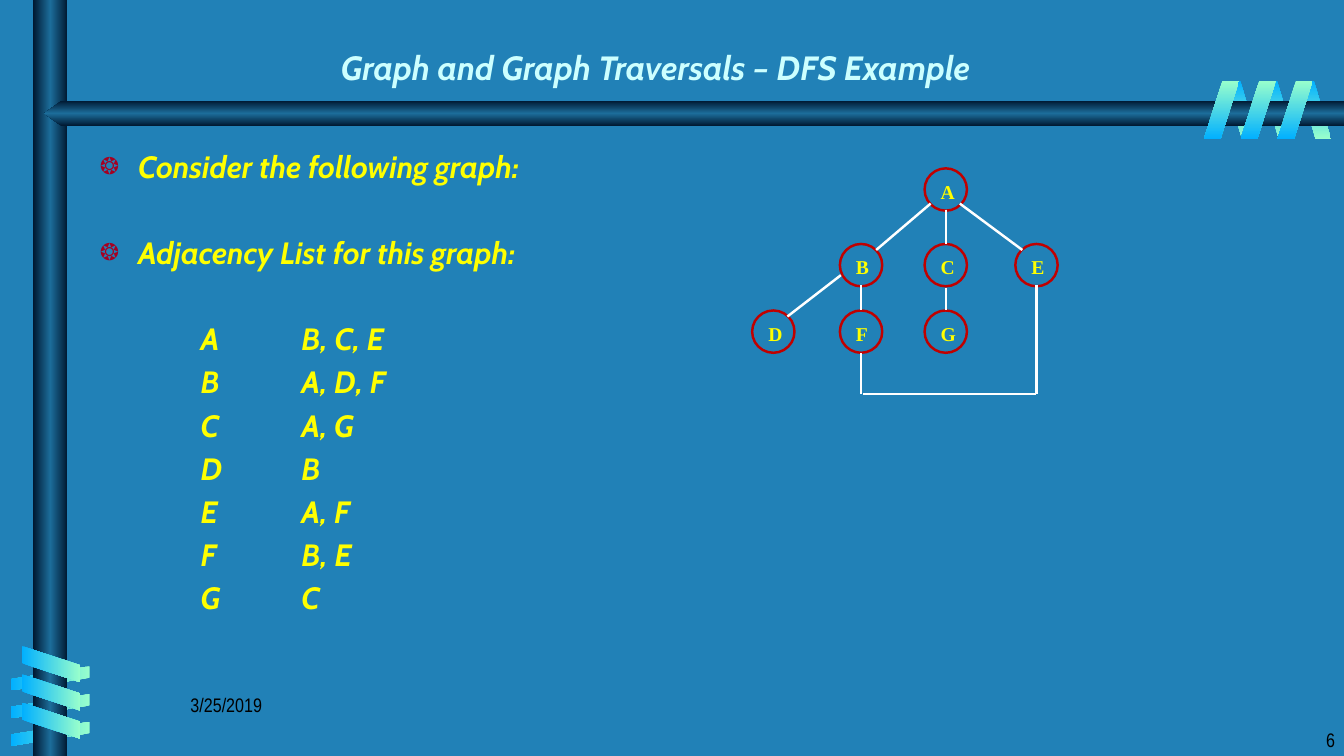
from dataclasses import dataclass

from lxml import etree
from pptx import Presentation
from pptx import util as u
from pptx.dml.color import RGBColor
from pptx.enum import shapes, text
from pptx.oxml import ns

Inches, Pt = u.Inches, u.Pt
Kind = shapes.MSO_SHAPE


@dataclass(frozen=True)
class Theme:
    back: str = "2181B7"
    title: str = "CCFFFF"
    body: str = "FFFF00"
    bullet: str = "A50021"
    ring: str = "C00000"
    edge: str = "FFFFFF"
    note: str = "000000"
    bar: tuple = ("001932", "1C6D9A", "001932")
    mint: tuple = ("99FFCC", "01B0FF")
    blue: tuple = ("01B0FF", "99FFCC")
    head: int = 24
    list: int = 22
    small: int = 14
    main: str = "Cabin"
    serif: str = "Times New Roman"
    narrow: str = "Arial Narrow"


T = Theme()


def style(para, name, size, color, bold=False, slant=False):
    font = para.font
    font.name, font.size, font.bold, font.italic = name, Pt(size), bold, slant
    font.color.rgb = RGBColor.from_string(color)


def deco(kind, box, stops, angle, turn=0, flip=False, adj=None):
    """Add a borderless shape with an evenly spaced gradient."""
    shape = slide.shapes.add_shape(kind, *map(Inches, box))
    shape.shadow.inherit = False
    shape.line.fill.background()
    shape.rotation = turn
    if adj:
        shape.adjustments[0] = adj
    props = shape.element.spPr
    if flip:
        props.xfrm.set("flipH", "1")
    grad = etree.Element(ns.qn("a:gradFill"), rotWithShape="0")
    marks = etree.SubElement(grad, ns.qn("a:gsLst"))
    for i, color in enumerate(stops):
        mark = etree.SubElement(marks, ns.qn("a:gs"), pos=str(i * 100000 // (len(stops) - 1)))
        etree.SubElement(mark, ns.qn("a:srgbClr"), val=color)
    etree.SubElement(grad, ns.qn("a:lin"), ang=str(angle * 60000), scaled="0")
    props.find(ns.qn("a:prstGeom")).addnext(grad)


deck = Presentation()
deck.slide_width, deck.slide_height = Inches(13.33), Inches(7.5)
slide = deck.slides.add_slide(deck.slide_layouts[1])
slide.background.fill.solid()
slide.background.fill.fore_color.rgb = RGBColor.from_string(T.back)

# Ribbons wound around the two bars: back strips, bars, front strips
skew = Kind.PARALLELOGRAM
for i in range(3):
    deco(skew, (12.88 - 0.365 * i, 0.8, 0.32, 0.58), T.blue, 90, 180, True, 0.53)
    deco(skew, (0.38, 6.34 + 0.275 * i, 0.24, 0.78), T.mint, 0, 90, True, 0.53)
deco(Kind.RECTANGLE, (0.33, 0, 0.34, 7.5), T.bar, 0)
deco(Kind.PENTAGON, (0.44, 1, 12.89, 0.25), T.bar, 90, flip=True, adj=0.68)
for i in range(3):
    deco(skew, (0.33, 6.3 + 0.28 * i, 0.36, 0.58), T.blue, 0, 270, adj=0.53)
    deco(skew, (12.67 - 0.365 * i, 0.8, 0.35, 0.58), T.mint, 90, adj=0.53)

# Title
title = slide.shapes.title
title.left, title.top, title.width, title.height = map(Inches, (0.89, 0.17, 12.22, 0.75))
frame = title.text_frame
frame.text = "Graph and Graph Traversals – DFS Example"
frame.auto_size = text.MSO_AUTO_SIZE.NONE
frame.vertical_anchor = text.MSO_ANCHOR.BOTTOM
frame.margin_left = Inches(2.49)
frame.paragraphs[0].alignment = text.PP_ALIGN.LEFT
style(frame.paragraphs[0], T.main, T.head, T.title, True, True)

# Bullets and adjacency list
heads = ["Consider the following graph:", "Adjacency List for this graph:"]
links = {"A": "B, C, E", "B": "A, D, F", "C": "A, G", "D": "B",
         "E": "A, F", "F": "B, E", "G": "C"}
body = slide.placeholders[1]
body.left, body.top, body.width, body.height = map(Inches, (0.89, 1.42, 12.11, 5.36))
frame = body.text_frame
frame.text = "\n".join(heads + [f"\t{node}\t{near}" for node, near in links.items()])
frame.auto_size = text.MSO_AUTO_SIZE.NONE
for i, para in enumerate(frame.paragraphs):
    style(para, T.main, T.list, T.body, True, True)
    para.space_before = Pt(35 if i in (1, 2) else 4.4)
    props = para._p.get_or_add_pPr()
    if i < len(heads):
        indent = Inches(0.38)
        color = etree.Element(ns.qn("a:buClr"))
        etree.SubElement(color, ns.qn("a:srgbClr"), val=T.bullet)
        extras = [color, etree.Element(ns.qn("a:buSzPct"), val="75000"),
                  etree.Element(ns.qn("a:buChar"), char="❂")]
    else:
        indent = 0
        extras = [etree.Element(ns.qn("a:buNone"))]
        props.set("defTabSz", str(Inches(1)))
    props.set("marL", str(indent))
    props.set("indent", str(-indent))
    for extra in extras:
        props.find(ns.qn("a:defRPr")).addprevious(extra)

# Date and slide number
for words, box, align in [
    ("3/25/2019", (1.79, 6.83, 2.78, 0.5), text.PP_ALIGN.LEFT),
    ("6", (10.56, 7.17, 2.78, 0.33), text.PP_ALIGN.RIGHT),
]:
    frame = slide.shapes.add_textbox(*map(Inches, box)).text_frame
    frame.word_wrap = True
    frame.text = words
    frame.paragraphs[0].alignment = align
    style(frame.paragraphs[0], T.narrow, T.small, T.note)

# Graph nodes
nodes = {"A": (9.17, 1.67), "B": (8.33, 2.42), "C": (9.17, 2.42), "E": (10.07, 2.42),
         "D": (7.46, 3.08), "F": (8.33, 3.08), "G": (9.17, 3.08)}
for name, (x, y) in nodes.items():
    node = slide.shapes.add_shape(Kind.OVAL, *map(Inches, (x, y, 0.42, 0.42)))
    node.shadow.inherit = False
    node.fill.solid()
    node.fill.fore_color.rgb = RGBColor.from_string(T.back)
    node.line.color.rgb = RGBColor.from_string(T.ring)
    node.line.width = Pt(1.75)
    frame = node.text_frame
    frame.word_wrap = False
    frame.vertical_anchor = text.MSO_ANCHOR.TOP
    frame.text = name
    frame.paragraphs[0].alignment = text.PP_ALIGN.LEFT
    style(frame.paragraphs[0], T.serif, T.small, T.body, True)

# Graph edges; the last three join F and E from below
edges = [
    (9.52, 2.02, 10.14, 2.48), (8.54, 2.83, 8.54, 3.08), (8.69, 2.48, 9.23, 2.02),
    (9.38, 2.08, 9.38, 2.42), (9.38, 2.86, 9.38, 3.08), (7.81, 3.14, 8.34, 2.73),
    (8.54, 3.91, 8.54, 3.5), (8.56, 3.91, 10.28, 3.91), (10.28, 3.91, 10.28, 2.83),
]
for ends in edges:
    edge = slide.shapes.add_connector(shapes.MSO_CONNECTOR.STRAIGHT, *map(Inches, ends))
    edge.line.color.rgb = RGBColor.from_string(T.edge)
    edge.line.width = Pt(1.75)
    etree.SubElement(edge.element.spPr, ns.qn("a:effectLst"))

deck.save("out.pptx")
